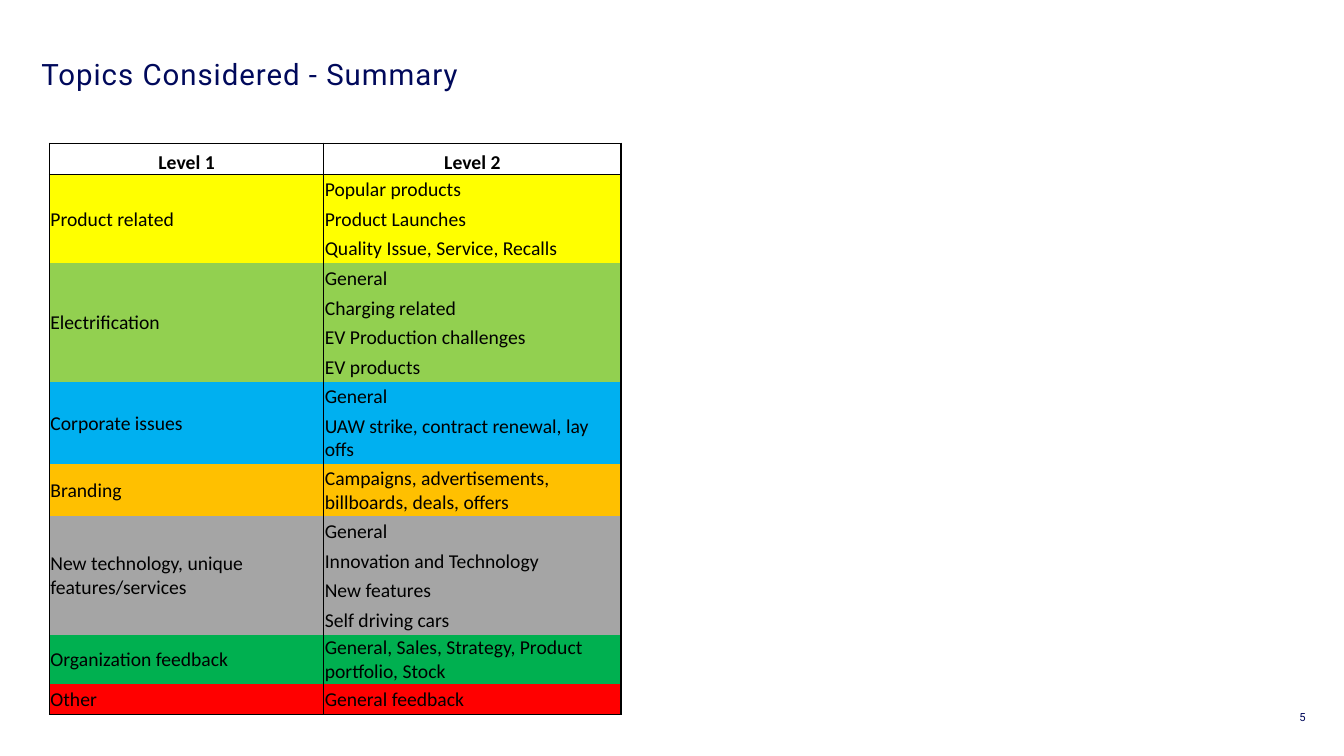
from dataclasses import dataclass

from lxml import etree
from pptx import Presentation
from pptx.dml.color import RGBColor
from pptx.enum.text import MSO_ANCHOR, PP_ALIGN
from pptx.oxml.ns import qn
from pptx.util import Inches, Pt

LEFT, CENTER, RIGHT = PP_ALIGN.LEFT, PP_ALIGN.CENTER, PP_ALIGN.RIGHT
TOP, MIDDLE, BOTTOM = MSO_ANCHOR.TOP, MSO_ANCHOR.MIDDLE, MSO_ANCHOR.BOTTOM
TITLE_ONLY = 5
NO_STYLE_NO_GRID = "{2D5ABB26-0587-4C30-8999-92F81FD0307C}"


@dataclass(frozen=True)
class Theme:
    navy: str = "00095B"
    black: str = "000000"
    white: str = "FFFFFF"
    heading_font: str = "Roboto"
    table_font: str = "Calibri"
    title_size: float = 21
    table_size: float = 14
    number_size: float = 8
    border_width: float = 1


THEME = Theme()

HEADINGS = ("Level 1", "Level 2")
TOPICS = [
    ("Product related", "FFFF00",
     ["Popular products", "Product Launches", "Quality Issue, Service, Recalls"]),
    ("Electrification", "92D050",
     ["General", "Charging related", "EV Production challenges", "EV products"]),
    ("Corporate issues", "00B0F0",
     ["General", "UAW strike, contract renewal, lay offs"]),
    ("Branding", "FFC000",
     ["Campaigns, advertisements, billboards, deals, offers"]),
    ("New technology, unique features/services", "A5A5A5",
     ["General", "Innovation and Technology", "New features", "Self driving cars"]),
    ("Organization feedback", "00B050",
     ["General, Sales, Strategy, Product portfolio, Stock"]),
    ("Other", "FF0000", ["General feedback"]),
]
LEVEL_1_SHARE = 0.48
# Heights of the rows that differ from the evenly divided ones
SPECIAL_HEIGHTS = {0: 0.31, 9: 0.52, 10: 0.52, 15: 0.48, 16: 0.31}


def write(frame, text, font, size, color, align=LEFT, bold=False):
    frame.text = text
    paragraph = frame.paragraphs[0]
    paragraph.alignment = align
    run = paragraph.runs[0]
    run.font.name = font
    run.font.size = Pt(size)
    run.font.bold = bold
    run.font.color.rgb = RGBColor.from_string(color)
    return paragraph


def set_margins(frame, left, top, right, bottom):
    frame.margin_left, frame.margin_top = Inches(left), Inches(top)
    frame.margin_right, frame.margin_bottom = Inches(right), Inches(bottom)


def add_title(slide, left, top, width, height):
    title = slide.shapes.title
    title.left, title.top = Inches(left), Inches(top)
    title.width, title.height = Inches(width), Inches(height)
    frame = title.text_frame
    set_margins(frame, 0, 0.05, 0.1, 0.05)
    frame.vertical_anchor = TOP
    paragraph = write(frame, "Topics Considered - Summary", THEME.heading_font,
                      THEME.title_size, THEME.navy)
    paragraph.line_spacing = 0.9
    # Letter spacing, in hundredths of a point
    paragraph.runs[0].font._element.set("spc", "70")


def add_page_number(slide, left, top, width, height):
    number = slide.shapes.add_textbox(Inches(left), Inches(top),
                                      Inches(width), Inches(height))
    frame = number.text_frame
    frame.word_wrap = True
    set_margins(frame, 0, 0.05, 0, 0.05)
    write(frame, "5", THEME.heading_font, THEME.number_size, THEME.navy, RIGHT)


def set_borders(cell, sides):
    properties = cell._tc.get_or_add_tcPr()
    for side in "LRTB":
        width = Pt(THEME.border_width) if side in sides else 0
        line = etree.SubElement(properties, qn(f"a:ln{side}"), w=str(width))
        if side in sides:
            fill = etree.SubElement(line, qn("a:solidFill"))
            etree.SubElement(fill, qn("a:srgbClr"), val=THEME.black)
        else:
            etree.SubElement(line, qn("a:noFill"))


def style_cell(cell, color, sides):
    set_borders(cell, sides)
    cell.fill.solid()
    cell.fill.fore_color.rgb = RGBColor.from_string(color)
    set_margins(cell, 0.01, 0.01, 0.01, 0)


def fill_cell(cell, text, anchor=MIDDLE, align=LEFT, bold=False):
    cell.vertical_anchor = anchor
    write(cell.text_frame, text, THEME.table_font, THEME.table_size,
          THEME.black, align, bold)


def add_topics_table(slide, left, top, width, height):
    row_count = 1 + sum(len(details) for _, _, details in TOPICS)
    frame = slide.shapes.add_table(row_count, 2, Inches(left), Inches(top),
                                   Inches(width), Inches(height))
    table = frame.table
    table.horz_banding = False
    table._tbl.tblPr.find(qn("a:tableStyleId")).text = NO_STYLE_NO_GRID

    # Column widths and row heights
    table.columns[0].width = Inches(width * LEVEL_1_SHARE)
    table.columns[1].width = Inches(width * (1 - LEVEL_1_SHARE))
    even_height = ((height - sum(SPECIAL_HEIGHTS.values()))
                   / (row_count - len(SPECIAL_HEIGHTS)))
    for index, row in enumerate(table.rows):
        row.height = Inches(SPECIAL_HEIGHTS.get(index, even_height))

    # Header
    for column, heading in enumerate(HEADINGS):
        cell = table.cell(0, column)
        style_cell(cell, THEME.white, "LRTB")
        fill_cell(cell, heading, BOTTOM, CENTER, True)

    # One coloured band per topic
    first = 1
    for topic, color, details in TOPICS:
        last = first + len(details) - 1
        for row, detail in enumerate(details, first):
            sides = "LR" + "T" * (row == 1) + "B" * (row == row_count - 1)
            for column in range(2):
                style_cell(table.cell(row, column), color, sides)
            fill_cell(table.cell(row, 1), detail)
        if last > first:
            table.cell(first, 0).merge(table.cell(last, 0))
        fill_cell(table.cell(first, 0), topic)
        first = last + 1


def build_summary_slide(presentation):
    slide = presentation.slides.add_slide(presentation.slide_layouts[TITLE_ONLY])
    add_title(slide, 0.41, 0.55, 11.5, 0.75)
    add_topics_table(slide, 0.49, 1.42, 5.67, 5.67)
    add_page_number(slide, 12.6, 7, 0.35, 0.4)


def main():
    presentation = Presentation()
    presentation.slide_width = Inches(13.33)
    presentation.slide_height = Inches(7.5)
    build_summary_slide(presentation)
    presentation.save("out.pptx")


if __name__ == "__main__":
    main()
